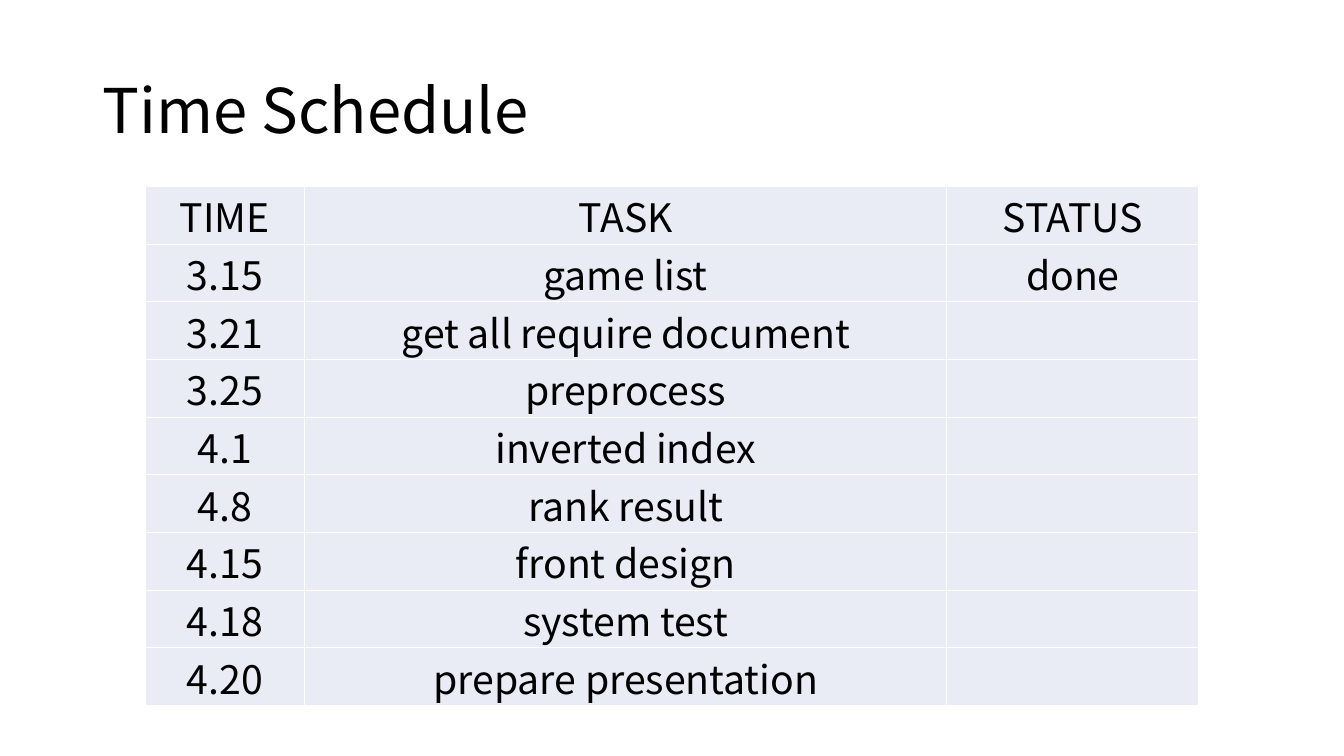
from pptx import Presentation
from pptx.dml.color import RGBColor
from pptx.enum.text import MSO_ANCHOR, MSO_AUTO_SIZE, PP_ALIGN
from pptx.oxml import parse_xml
from pptx.oxml.ns import nsdecls
from pptx.util import Inches, Pt

BLACK = RGBColor(0x00, 0x00, 0x00)
WHITE = RGBColor(0xFF, 0xFF, 0xFF)
PALE_BLUE = RGBColor(0xE9, 0xEB, 0xF5)
FONT = "Noto Sans CJK SC"

SLIDE_W, SLIDE_H = Inches(13.33), Inches(7.5)
TITLE_BOX = Inches(0.92), Inches(0.4), Inches(11.5), Inches(1.45)
TABLE_BOX = Inches(1.44), Inches(1.85), Inches(10.45), Inches(4.61)
COLUMN_WEIGHTS = 1.58, 6.37, 2.5

SCHEDULE = [
    ("TIME", "TASK", "STATUS"),
    ("3.15", "game list", "done"),
    ("3.21", "get all require document", ""),
    ("3.25", "preprocess", ""),
    ("4.1", "inverted index", ""),
    ("4.8", "rank result", ""),
    ("4.15", "front design", ""),
    ("4.18", "system test", ""),
    ("4.20", "prepare presentation", ""),
]


def write(tf, text, size, align=PP_ALIGN.LEFT, spacing=None):
    """Put one formatted paragraph into a text frame."""
    p = tf.paragraphs[0]
    p.alignment = align
    p.line_spacing = spacing
    r = p.add_run()
    r.text = text
    r.font.name = FONT
    r.font.size = Pt(size)
    r.font.color.rgb = BLACK


def add_borders(cell, color, width):
    """Draw a solid line on all four sides of a cell."""
    tcPr = cell._tc.get_or_add_tcPr()
    for side in "LRTB":
        tcPr.append(parse_xml(
            f'<a:ln{side} {nsdecls("a")} w="{Pt(width)}"><a:solidFill>'
            f'<a:srgbClr val="{color}"/></a:solidFill></a:ln{side}>'))


def fill_cell(cell, text):
    """Style one schedule cell and write its text, if any."""
    add_borders(cell, WHITE, 1)
    cell.fill.solid()
    cell.fill.fore_color.rgb = PALE_BLUE
    if text:
        cell.margin_left = cell.margin_right = cell.margin_top = Inches(0.01)
        cell.margin_bottom = 0
        cell.vertical_anchor = MSO_ANCHOR.BOTTOM
        write(cell.text_frame, text, 28, align=PP_ALIGN.CENTER)


def place_title(s, box, text):
    """Move the title placeholder to the box and write the title."""
    sp = s.shapes.title
    sp.left, sp.top, sp.width, sp.height = box
    tf = sp.text_frame
    tf.word_wrap = True
    tf.auto_size = MSO_AUTO_SIZE.NONE
    tf.vertical_anchor = MSO_ANCHOR.MIDDLE
    write(tf, text, 44, spacing=0.9)


def add_schedule(s, box, rows, weights):
    """Fill the box with a table whose columns share its width by weight."""
    table = s.shapes.add_table(len(rows), len(weights), *box).table
    table.first_row = table.horz_banding = False
    for column, weight in zip(table.columns, weights):
        column.width = int(box[2] * weight / sum(weights))
    for row, texts in zip(table.rows, rows):
        for cell, text in zip(row.cells, texts):
            fill_cell(cell, text)


def build_schedule_slide(prs):
    """Add the slide with the title and the time schedule."""
    s = prs.slides.add_slide(prs.slide_layouts[5])
    place_title(s, TITLE_BOX, "Time Schedule")
    add_schedule(s, TABLE_BOX, SCHEDULE, COLUMN_WEIGHTS)


prs = Presentation()
prs.slide_width, prs.slide_height = SLIDE_W, SLIDE_H
build_schedule_slide(prs)
prs.save("out.pptx")
